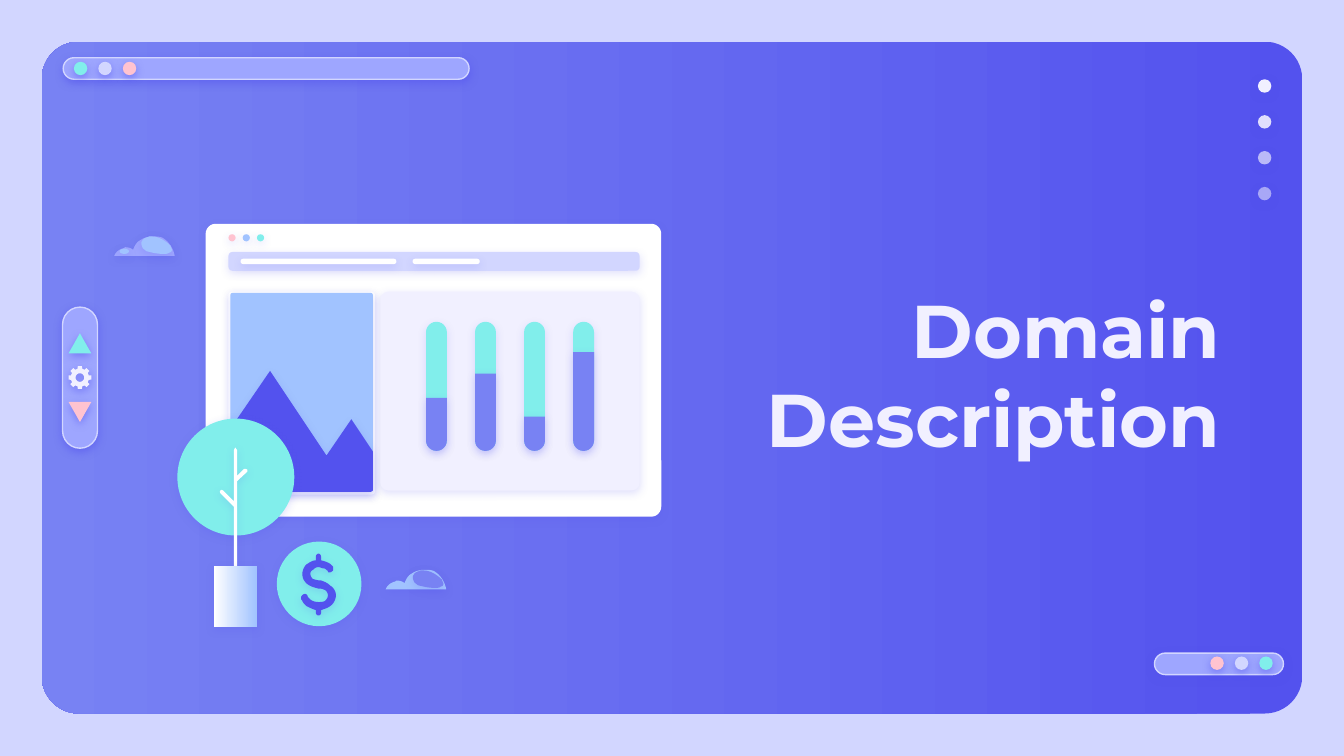
"""Build the "Domain Description" section slide on a grid of 1000 columns."""
import math
from dataclasses import dataclass

from lxml import etree
from pptx import Presentation, util as u
from pptx.dml import color as dml
from pptx.enum import shapes as kinds, text
from pptx.oxml import ns


@dataclass(frozen=True)
class Theme:
    indigo: str = "5352EE"
    violet: str = "7882F3"
    lilac: str = "9EA6FF"
    mist: str = "D2D6FF"
    pale: str = "F1F0FF"
    white: str = "FFFFFF"
    sky: str = "A1C3FF"
    mint: str = "81EEEB"
    pink: str = "FFC3D0"
    font: str = "Montserrat"
    title_size: int = 40
    outline: float = 0.75
    strong: int = 50
    soft: int = 17


theme = Theme()
kind = kinds.MSO_SHAPE
deck = Presentation()
deck.slide_width, deck.slide_height = u.Inches(10), u.Inches(5.625)
cell = deck.slide_width // 1000
page = deck.slides.add_slide(deck.slide_layouts[5])
page.background.fill.solid()
page.background.fill.fore_color.rgb = dml.RGBColor.from_string(theme.mist)


def draw(form, box, fill, shadow=theme.soft, corners=(), outline=None, turn=0, alpha=100):
    """Add a preset shape, or finish a given freeform when box is None."""
    shape = form if box is None else page.shapes.add_shape(form, *(round(v * cell) for v in box))
    for index, radius in enumerate(corners):
        shape.adjustments[index] = radius / min(box[2:])
    shape.rotation = turn
    if isinstance(fill, tuple):
        shape.fill.gradient()
        shape.fill.gradient_angle = fill[2]
        for stop, tint in zip(shape.fill.gradient_stops, fill):
            stop.color.rgb = dml.RGBColor.from_string(tint)
    else:
        shape.fill.solid()
        shape.fill.fore_color.rgb = dml.RGBColor.from_string(fill)
    if alpha < 100:
        tint = next(shape.element.spPr.iter(ns.qn("a:srgbClr")))
        etree.SubElement(tint, ns.qn("a:alpha"), val=str(alpha * 1000))
    if outline:
        shape.line.color.rgb = dml.RGBColor.from_string(outline)
        shape.line.width = u.Pt(theme.outline)
    else:
        shape.line.fill.background()
    shape.shadow.inherit = False
    if shadow:
        effects = shape.element.spPr.find(ns.qn("a:effectLst"))
        outer = etree.SubElement(effects, ns.qn("a:outerShdw"), blurRad=str(u.Pt(4.5)),
                                 dist=str(u.Pt(1.5)), dir="5400000", algn="bl", rotWithShape="0")
        tint = etree.SubElement(outer, ns.qn("a:srgbClr"), val=theme.indigo)
        etree.SubElement(tint, ns.qn("a:alpha"), val=str(shadow * 1000))


def trace(*contours, shift=(0, 0)):
    """Build a freeform from points and six-number cubic curves."""
    builder = None
    for contour in contours:
        points = [contour[0]]
        for step in contour[1:]:
            if len(step) == 2:
                points.append(step)
                continue
            ends = (points[-1], step[:2], step[2:4], step[4:])
            for t in (n / 8 for n in range(1, 9)):
                weights = ((1 - t) ** 3, 3 * t * (1 - t) ** 2, 3 * t * t * (1 - t), t ** 3)
                points.append(tuple(sum(w * e[axis] for w, e in zip(weights, ends)) for axis in (0, 1)))
        points = [tuple(round((v + s) * cell) for v, s in zip(point, shift)) for point in points]
        if builder is None:
            builder = page.shapes.build_freeform(*points[0], scale=1.0)
        else:
            builder.move_to(*points[0])
        builder.add_line_segments(points[1:], close=True)
    return builder.convert_to_shape()


draw(kind.ROUNDED_RECTANGLE, (31, 31, 938, 500), (theme.indigo, theme.violet, 180), 0, [28])
trio = (theme.mint, theme.mist, theme.pink)
for bar, first, step, top in (((47, 43, 302, 16), 55, 18.2, 46), ((859, 486, 96, 16), 937, -18.2, 488.5)):
    draw(kind.ROUNDED_RECTANGLE, bar, theme.lilac, theme.strong, [8], theme.mist)
    for index, tint in enumerate(trio):
        draw(kind.OVAL, (first + index * step, top, 10, 10), tint, theme.strong)
for index, alpha in enumerate((100, 89, 66, 54)):
    draw(kind.OVAL, (936, 59 + index * 26.7, 10, 10), theme.pale, theme.strong, alpha=alpha)

title = page.shapes.title
page.shapes.element.append(title.element)
title.left, title.top, title.width, title.height = (v * cell for v in (545, 201, 373, 63))
frame = title.text_frame
frame.text = "Domain Description"
frame.word_wrap = True
frame.auto_size = text.MSO_AUTO_SIZE.NONE
frame.vertical_anchor = text.MSO_ANCHOR.TOP
frame.margin_left = frame.margin_right = frame.margin_top = frame.margin_bottom = u.Inches(0.1)
para = frame.paragraphs[0]
para.alignment = text.PP_ALIGN.RIGHT
span = para.runs[0]
span.font.name, span.font.size, span.font.bold = theme.font, u.Pt(theme.title_size), True
span.font.color.rgb = dml.RGBColor.from_string(theme.pale)

draw(kind.OVAL, (206, 403, 63, 63), theme.mint)
for box, tint, radius in (
    ((153, 166.5, 339, 218), theme.white, 7.5),
    ((170, 217, 109, 151), theme.white, 2.5),
    ((171.5, 218, 106, 148), theme.sky, 1.5),
):
    draw(kind.ROUNDED_RECTANGLE, box, tint, corners=[radius])
mountains = [(201, 276), (171.5, 319), (171.5, 365), (173, 366), (276, 366), (277.5, 365),
             (277.5, 336), (261.5, 312), (243, 339)]
draw(trace(mountains), None, theme.indigo)
for box, tint, radius in (
    ((170, 187.5, 306, 14), theme.mist, 3),
    ((179, 192.5, 116, 4), theme.white, 2),
    ((307, 192.5, 50, 4), theme.white, 2),
):
    draw(kind.ROUNDED_RECTANGLE, box, tint, corners=[radius])

cloud = [(114, 176), (110, 176, 107, 177, 104, 179), (102, 180, 100, 183, 99, 186),
         (98, 185, 96, 184, 93, 184), (93, 184, 92, 185, 91, 185), (88, 186, 86, 188, 85, 190.5),
         (130, 190.5), (129, 185, 126, 180, 121, 177), (119, 176, 116, 176, 114, 176)]
gloss = [(113, 176), (113, 176, 112, 176, 111, 176), (109, 177, 107, 177, 106, 179),
         (105, 180, 105, 182, 106, 184), (106, 185, 108, 186, 109, 187), (113, 188, 117, 189, 121, 189),
         (124, 189, 125, 189, 126, 188), (127, 188, 128, 187, 128, 186), (128, 185, 127, 184, 127, 183),
         (123, 179, 118, 176, 113, 176)]
draw(trace(cloud), None, theme.lilac)
draw(trace(gloss), None, theme.sky)
draw(kind.OVAL, (89, 185, 7, 4), theme.sky)

for index, tint in enumerate((theme.pink, theme.sky, theme.mint)):
    draw(kind.OVAL, (170 + index * 10.6, 174.3, 5.3, 5.3), tint)
draw(kind.ROUNDED_RECTANGLE, (283, 217, 193, 148), theme.pale, corners=[6])
for index, level in enumerate((296, 278, 310, 262)):
    left = 317 + index * 36.5
    draw(kind.ROUNDED_RECTANGLE, (left, 239.5, 15.5, 96), theme.mint, corners=[7.75])
    draw(kind.ROUND_2_SAME_RECTANGLE, (left, level, 15.5, 335.5 - level), theme.violet, corners=[0, 7.75])

draw(kind.OVAL, (132, 311.5, 87, 87), theme.mint)
trunk = [(175, 333), (174, 335), (174, 373), (166, 365), (165, 364.5), (164, 365), (163.5, 366),
         (164, 367), (174, 377), (174, 427), (175, 429), (176.5, 427), (176.5, 358), (184, 351),
         (184, 349.5), (183, 349), (181.5, 349), (176.5, 354), (176.5, 335)]
draw(trace(trunk), None, theme.white)
draw(kind.RECTANGLE, (159, 421, 32, 46), (theme.white, theme.sky, 0))
dollar = [(237, 412), (236, 412, 235, 413, 235, 415), (235, 417), (232, 417, 230, 419, 228, 420),
          (226, 422, 225, 425, 225, 427), (225, 430, 226, 432, 228, 434), (230, 436, 233, 437, 237, 438),
          (238, 438), (240, 438, 241, 439, 242, 439), (243, 440, 244, 441, 244, 443),
          (244, 445, 243, 446, 242, 447), (241, 448, 239, 448, 237, 448), (234, 448, 231, 447, 229, 444),
          (229, 443, 228, 442, 227, 442), (226, 442, 224, 443, 224, 445), (224, 446, 224, 446, 225, 447),
          (225, 448, 227, 450, 228, 451), (230, 452, 232, 453, 235, 454), (235, 456),
          (235, 457, 236, 458, 237, 458), (238, 458, 239, 457, 239, 456), (239, 454),
          (242, 453, 245, 452, 247, 450), (249, 448, 250, 445, 250, 443), (250, 440, 248, 437, 246, 436),
          (244, 434, 242, 433, 239, 432), (236, 432, 234, 431, 233, 431), (232, 430, 231, 429, 231, 427),
          (231, 426, 231, 425, 233, 424), (234, 423, 235, 422, 237, 422), (238, 422, 240, 423, 241, 423),
          (242, 423, 243, 424, 244, 425), (244, 426, 245, 426, 245, 426), (246, 426, 248, 425, 248, 424),
          (248, 423, 248, 422, 248, 422), (246, 419, 243, 418, 239, 417), (239, 415),
          (239, 413, 238, 412, 237, 412)]
draw(trace(dollar), None, theme.indigo)
draw(trace(cloud, shift=(202, 248)), None, theme.sky)
draw(trace(gloss, shift=(202, 248.5)), None, theme.violet)

draw(kind.ROUNDED_RECTANGLE, (7, 268, 105, 26), theme.lilac, theme.strong, [13], theme.mist, turn=90)
draw(kind.ISOSCELES_TRIANGLE, (51, 248, 17, 15), theme.mint, theme.strong)
draw(kind.ISOSCELES_TRIANGLE, (51, 299, 17, 15), theme.pink, theme.strong, turn=180)
teeth = [(tooth * math.pi / 4 + swing, radius) for tooth in range(8)
         for swing, radius in ((-0.25, 6.8), (-0.18, 8.6), (0.18, 8.6), (0.25, 6.8))]
hole = [(-step * math.pi / 12, 3.2) for step in range(24)]
gear = [[(59.5 + r * math.cos(a), 281 + r * math.sin(a)) for a, r in ring] for ring in (teeth, hole)]
draw(trace(*gear), None, theme.pale, theme.strong)

deck.save("out.pptx")
